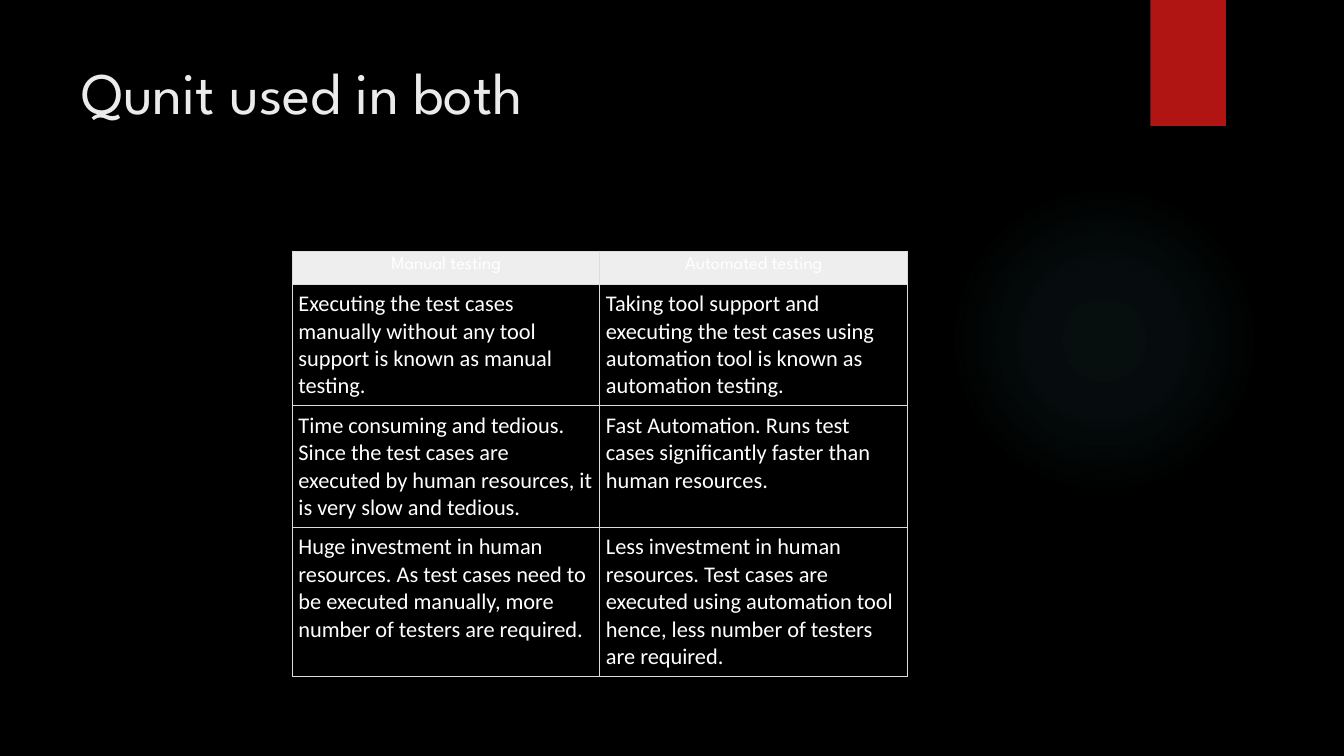
from lxml.etree import SubElement
from pptx import Presentation
from pptx.dml.color import RGBColor
from pptx.enum.shapes import MSO_SHAPE
from pptx.enum.text import MSO_ANCHOR, PP_ALIGN
from pptx.oxml import parse_xml
from pptx.oxml.ns import nsdecls, qn
from pptx.util import Inches, Pt

# Content
TITLE = "Qunit used in both"
ROWS = [
    ("Manual testing", "Automated testing"),
    ("Executing the test cases manually without any tool support is known as manual testing.",
     "Taking tool support and executing the test cases using automation tool is known as "
     "automation testing."),
    ("Time consuming and tedious. Since the test cases are executed by human resources, it is "
     "very slow and tedious.",
     "Fast Automation. Runs test cases significantly faster than human resources."),
    ("Huge investment in human resources. As test cases need to be executed manually, more "
     "number of testers are required.",
     "Less investment in human resources. Test cases are executed using automation tool hence, "
     "less number of testers are required."),
]
ROW_HEIGHTS = [0.33, 1.2, 1.2, 1.48]
COLUMN_WIDTH = 3.05
CELL_MARGIN = 0.06
COLORS = {
    "background": "000000", "glow": "50B9C1", "tab": "B01513", "title": "EBEBEB",
    "header": "EEEEEE", "border": "DDDDDD", "text": "FFFFFF",
}
GLOW_STOPS = [(0, 7), (36, 6), (69, 0)]  # position and opacity in percent
HEADING_FONT, BODY_FONT = "League Spartan", "Calibri"


def color(name):
    return RGBColor.from_string(COLORS[name])


def format_text(paragraph, font, size, color_name):
    for span in paragraph.runs:
        span.font.name = font
        span.font.size = Pt(size)
        span.font.color.rgb = color(color_name)


def add_plain_shape(page, kind, *bounds):
    shape = page.shapes.add_shape(kind, *map(Inches, bounds))
    shape.shadow.inherit = False
    shape.line.fill.background()
    return shape


def set_borders(cell):
    properties = cell._tc.get_or_add_tcPr()
    for index, side in enumerate(("lnL", "lnR", "lnT", "lnB")):
        line = parse_xml(
            f'<a:{side} {nsdecls("a")} w="{Pt(0.75)}"><a:solidFill>'
            f'<a:srgbClr val="{COLORS["border"]}"/></a:solidFill></a:{side}>')
        properties.insert(index, line)


deck = Presentation()
deck.slide_width, deck.slide_height = Inches(13.33), Inches(7.5)
page = deck.slides.add_slide(deck.slide_layouts[5])
page.background.fill.solid()
page.background.fill.fore_color.rgb = color("background")

# Soft radial glow
glow = add_plain_shape(page, MSO_SHAPE.OVAL, 9.41, 1.83, 3.08, 3.08)
glow.fill.gradient()
gradient = glow._element.spPr.find(qn("a:gradFill"))
for child in list(gradient):
    gradient.remove(child)
stops = SubElement(gradient, qn("a:gsLst"))
for position, opacity in GLOW_STOPS:
    stop = SubElement(stops, qn("a:gs"), pos=str(position * 1000))
    tint = SubElement(stop, qn("a:srgbClr"), val=COLORS["glow"])
    SubElement(tint, qn("a:alpha"), val=str(opacity * 1000))
shade = SubElement(gradient, qn("a:path"), path="circle")
SubElement(shade, qn("a:fillToRect"), dict.fromkeys("ltrb", "50000"))

# Red tab
tab = add_plain_shape(page, MSO_SHAPE.RECTANGLE, 11.41, 0, 0.75, 1.25)
tab.fill.solid()
tab.fill.fore_color.rgb = color("tab")

# Title
title = page.shapes.title
title.left, title.top, title.width, title.height = map(Inches, (0.71, 0.5, 10.29, 1.53))
title.text_frame.text = TITLE
title.text_frame.vertical_anchor = MSO_ANCHOR.TOP
title.text_frame.paragraphs[0].alignment = PP_ALIGN.LEFT
format_text(title.text_frame.paragraphs[0], HEADING_FONT, 42, "title")

# Comparison table
column_count = len(ROWS[0])
frame = page.shapes.add_table(
    len(ROWS), column_count, Inches(2.9), Inches(2.49),
    Inches(COLUMN_WIDTH * column_count), Inches(sum(ROW_HEIGHTS)))
table = frame.table
table.first_row = table.horz_banding = False
for column in table.columns:
    column.width = Inches(COLUMN_WIDTH)
for row_index, (texts, height) in enumerate(zip(ROWS, ROW_HEIGHTS)):
    table.rows[row_index].height = Inches(height)
    for column_index, text in enumerate(texts):
        cell = table.cell(row_index, column_index)
        cell.margin_left = cell.margin_right = Inches(CELL_MARGIN)
        cell.margin_top = cell.margin_bottom = Inches(CELL_MARGIN)
        cell.text_frame.text = text
        para = cell.text_frame.paragraphs[0]
        if row_index == 0:
            cell.fill.solid()
            cell.fill.fore_color.rgb = color("header")
            para.alignment = PP_ALIGN.CENTER
            format_text(para, HEADING_FONT, 13, "text")
        else:
            cell.fill.background()
            format_text(para, BODY_FONT, 16, "text")
        set_borders(cell)

deck.save("out.pptx")
